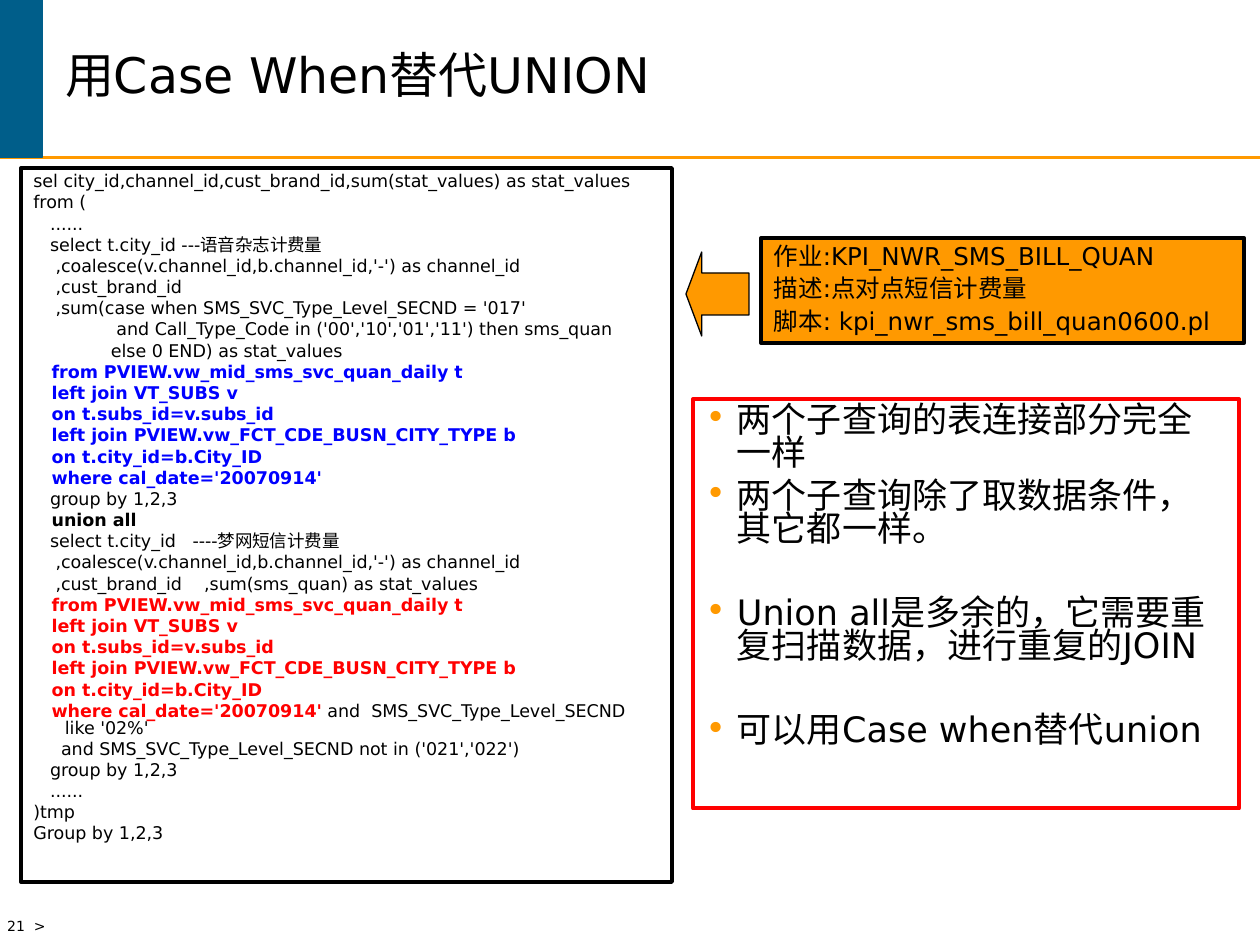
from pptx import Presentation
from pptx.dml.color import RGBColor
from pptx.enum.shapes import MSO_CONNECTOR as Connector, MSO_SHAPE as Shape
from pptx.enum.text import MSO_ANCHOR as Anchor, MSO_AUTO_SIZE as AutoSize, PP_ALIGN as Align
from pptx.oxml.ns import qn
from pptx.util import Pt
from lxml.etree import SubElement

BLACK = RGBColor(0x00, 0x00, 0x00)
BLUE = RGBColor(0x00, 0x00, 0xFF)
RED = RGBColor(0xFF, 0x00, 0x00)
ORANGE = RGBColor(0xFF, 0x99, 0x00)
TEAL = RGBColor(0x00, 0x5E, 0x8A)
FONT = "DejaVu Sans"


def write(shape, paragraphs, size, line_spacing=1.0, gaps=(0,), hanging=0,
          bullet=None, anchor=Anchor.TOP, wrap=True):
    frame = shape.text_frame
    frame.word_wrap = wrap
    frame.auto_size = AutoSize.NONE
    frame.vertical_anchor = anchor
    for index, runs in enumerate(paragraphs):
        para = frame.add_paragraph() if index else frame.paragraphs[0]
        para.alignment = Align.LEFT
        para.line_spacing = line_spacing
        para.space_before = Pt(gaps[min(index, len(gaps) - 1)])
        props = para._p.get_or_add_pPr()
        props.set("marL", str(Pt(hanging)))
        props.set("indent", str(-Pt(hanging)))
        if bullet:
            color = SubElement(props, qn("a:buClr"))
            SubElement(color, qn("a:srgbClr"), val=str(bullet))
            SubElement(props, qn("a:buFont"), typeface=FONT)
            SubElement(props, qn("a:buChar"), char="•")
        for text, color, bold in runs:
            run = para.add_run()
            run.text = text
            run.font.name = FONT
            run.font.size = Pt(size)
            run.font.bold = bold
            run.font.color.rgb = color


def add_box(kind, left, top, width, height, line, weight, fill=None):
    box = slide.shapes.add_shape(kind, Pt(left), Pt(top), Pt(width), Pt(height))
    box.shadow.inherit = False
    box.line.color.rgb = line
    box.line.width = Pt(weight)
    if fill is None:
        box.fill.background()
    else:
        box.fill.solid()
        box.fill.fore_color.rgb = fill
    return box


deck = Presentation()
deck.slide_width, deck.slide_height = Pt(720), Pt(540)
slide = deck.slides.add_slide(deck.slide_layouts[5])

rule = slide.shapes.add_connector(Connector.STRAIGHT, Pt(0), Pt(90), Pt(720), Pt(90))
rule.line.color.rgb = ORANGE
rule.line.width = Pt(1.5)
SubElement(rule._element.spPr, qn("a:effectLst"))
add_box(Shape.RECTANGLE, 0, 0, 24, 90, TEAL, 1, TEAL)

title = slide.shapes.title
title.left, title.top, title.width, title.height = Pt(30), Pt(0), Pt(672), Pt(90)
write(title, [[("用Case When替代UNION", BLACK, False)]], 28,
      line_spacing=0.85, anchor=Anchor.MIDDLE)

page_number = slide.shapes.add_textbox(Pt(-3), Pt(521), Pt(99), Pt(19))
write(page_number, [[("21  >", BLACK, False)]], 8, wrap=False)

join_lines = [
    "   from PVIEW.vw_mid_sms_svc_quan_daily t",
    "   left join VT_SUBS v",
    "   on t.subs_id=v.subs_id",
    "   left join PVIEW.vw_FCT_CDE_BUSN_CITY_TYPE b",
    "   on t.city_id=b.City_ID",
    "   where cal_date='20070914'",
]
query_parts = [
    (BLACK, False, [
        "sel city_id,channel_id,cust_brand_id,sum(stat_values) as stat_values",
        "from (",
        "   ......",
        "   select t.city_id ---语音杂志计费量",
        "    ,coalesce(v.channel_id,b.channel_id,'-') as channel_id",
        "    ,cust_brand_id",
        "    ,sum(case when SMS_SVC_Type_Level_SECND = '017'",
        "               and Call_Type_Code in ('00','10','01','11') then sms_quan",
        "              else 0 END) as stat_values",
    ]),
    (BLUE, True, join_lines),
    (BLACK, False, ["   group by 1,2,3"]),
    (BLACK, True, ["   union all"]),
    (BLACK, False, [
        "   select t.city_id   ----梦网短信计费量",
        "    ,coalesce(v.channel_id,b.channel_id,'-') as channel_id",
        "    ,cust_brand_id    ,sum(sms_quan) as stat_values",
    ]),
    (RED, True, join_lines),
    (BLACK, False, [
        "     and SMS_SVC_Type_Level_SECND not in ('021','022')",
        "   group by 1,2,3",
        "   ......",
        ")tmp",
        "Group by 1,2,3",
    ]),
]
query = [[(text, color, bold)] for color, bold, lines in query_parts for text in lines]
last_red = max(i for i, runs in enumerate(query) if runs[0][1] == RED)
query[last_red].append((" and  SMS_SVC_Type_Level_SECND  like '02%'", BLACK, False))
query_box = add_box(Shape.RECTANGLE, 12, 96, 372, 408, BLACK, 2.25)
write(query_box, query, 10, line_spacing=0.8, gaps=(0, 2.5), hanging=18)

findings = [
    "两个子查询的表连接部分完全一样",
    "两个子查询除了取数据条件，其它都一样。",
    "Union all是多余的，它需要重复扫描数据，进行重复的JOIN",
    "可以用Case when替代union",
]
findings_box = add_box(Shape.RECTANGLE, 396, 228, 312, 234, RED, 2.25)
write(findings_box, [[(text, BLACK, False)] for text in findings], 20,
      line_spacing=0.8, gaps=(0, 5, 28.5), hanging=18, bullet=ORANGE)

job_facts = [
    "作业:KPI_NWR_SMS_BILL_QUAN",
    "描述:点对点短信计费量",
    "脚本: kpi_nwr_sms_bill_quan0600.pl",
]
job_box = add_box(Shape.RECTANGLE, 435, 136, 276, 60, BLACK, 2.25, ORANGE)
write(job_box, [[(text, BLACK, False)] for text in job_facts], 14,
      line_spacing=0.9, gaps=(0, 3.5), hanging=18)

job_arrow = add_box(Shape.LEFT_ARROW, 392, 144, 36, 48, BLACK, 0.75, ORANGE)
job_arrow.adjustments[0] = 0.5
job_arrow.adjustments[1] = 0.25

deck.save("out.pptx")
